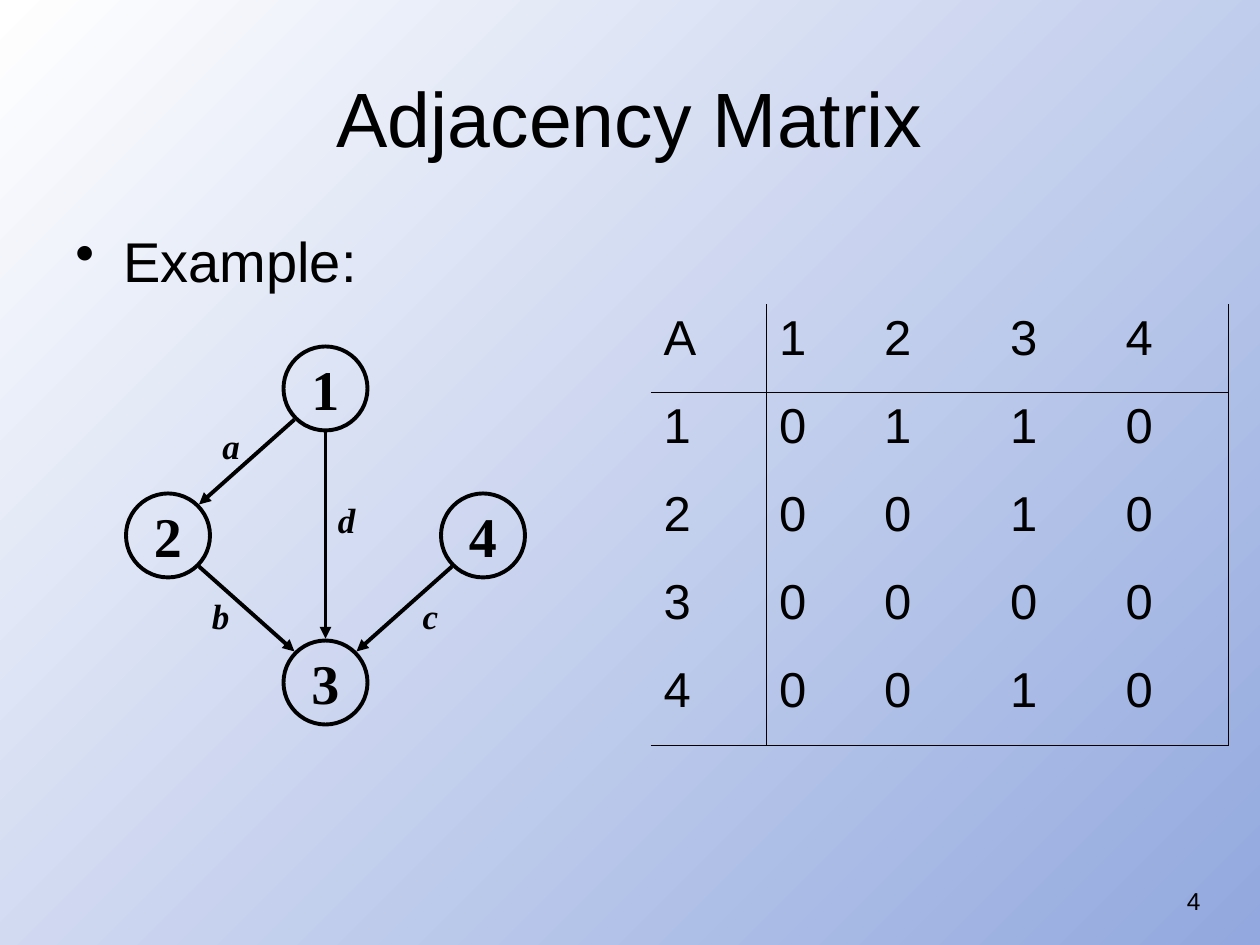
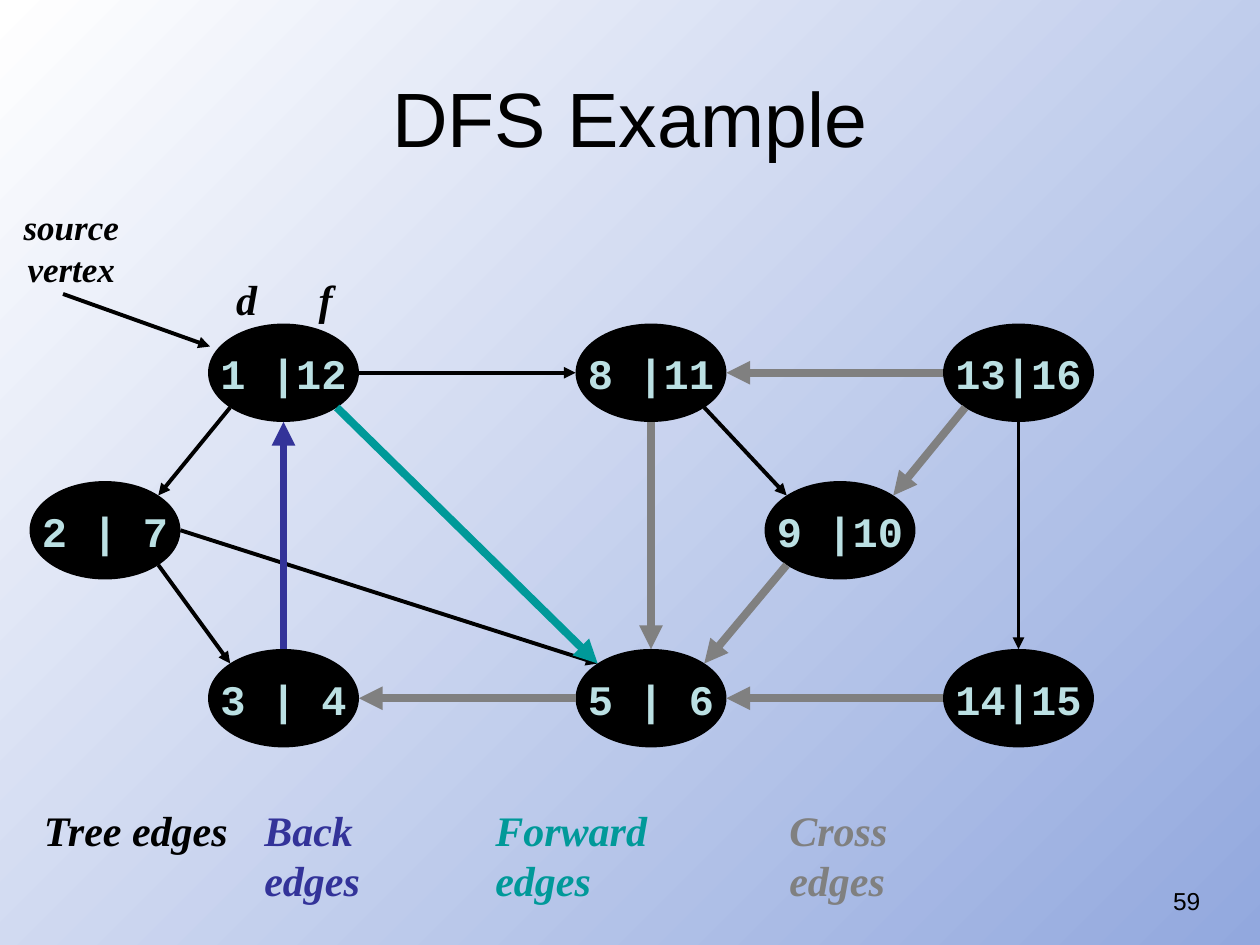
from math import sqrt

from lxml import etree
from pptx import Presentation
from pptx.dml.color import RGBColor
from pptx.enum.shapes import MSO_CONNECTOR as Line, MSO_SHAPE as Preset
from pptx.enum.text import MSO_ANCHOR as Anchor, PP_ALIGN as Align
from pptx.oxml.ns import qn
from pptx.util import Inches, Pt

COLORS = {
    "black": "000000", "white": "FFFFFF", "periwinkle": "92A8DE",
    "ice": "BBE0E3", "indigo": "333399", "teal": "009999", "gray": "808080",
}
SANS, SERIF, MONO = "Arial", "Times New Roman", "Courier New"

# Every length is in grid units: a slide is 120 columns by 90 rows
COLUMNS, ROWS = 120, 90
UNIT = Inches(10) // COLUMNS

# Directions of the points where edges meet a node
DIAGONAL = 1 / sqrt(2)
COMPASS = {
    "n": (0, -1), "s": (0, 1), "w": (-1, 0), "e": (1, 0),
    "nw": (-DIAGONAL, -DIAGONAL), "ne": (DIAGONAL, -DIAGONAL),
    "sw": (-DIAGONAL, DIAGONAL), "se": (DIAGONAL, DIAGONAL),
}
EDGE_GAP = 0.18

# Colour and width of each kind of edge
EDGE_STYLES = {
    "Tree": ("black", 2.25), "Back": ("indigo", 4.5),
    "Forward": ("teal", 4.5), "Cross": ("gray", 4.5),
}


def rgb(name):
    return RGBColor.from_string(COLORS[name])


def grid(*lengths):
    return [round(length * UNIT) for length in lengths]


def around(center, size):
    """Box of a size, centred on a point."""
    (x, y), (width, height) = center, size
    return x - width / 2, y - height / 2, width, height


def shifted(box, point):
    """Point given relative to a box's top left corner."""
    return box[0] + point[0], box[1] + point[1]


def write(frame, text, size, font=SANS, color="black", align=Align.LEFT,
          bold=False, italic=False):
    para = frame.paragraphs[0]
    para.text = text
    para.alignment = align
    para.font.size = Pt(size)
    para.font.name = font
    para.font.bold = bold
    para.font.italic = italic
    para.font.color.rgb = rgb(color)
    return para


def add_text(page, box, text, size, wrap=False, **style):
    frame = page.shapes.add_textbox(*grid(*box)).text_frame
    frame.word_wrap = wrap
    return write(frame, text, size, **style)


def add_label(page, center, text, size=20, box_size=(4, 5.3)):
    add_text(page, around(center, box_size), text, size, font=SERIF,
             align=Align.CENTER, bold=True, italic=True)


def add_arrow(page, start, end, color="black", width=2.25):
    arrow = page.shapes.add_connector(Line.STRAIGHT, *grid(*start, *end))
    arrow.line.color.rgb = rgb(color)
    arrow.line.width = Pt(width)
    etree.SubElement(arrow.line._get_or_add_ln(), qn("a:tailEnd"), type="triangle")
    etree.SubElement(arrow._element.spPr, qn("a:effectLst"))


def add_node(page, center, node_size, text, fill=None, **style):
    node = page.shapes.add_shape(Preset.OVAL, *grid(*around(center, node_size)))
    node.shadow.inherit = False
    if fill:
        node.fill.solid()
        node.fill.fore_color.rgb = rgb(fill)
    else:
        node.fill.background()
    node.line.color.rgb = rgb("black")
    node.line.width = Pt(2.25)
    node.text_frame.word_wrap = False
    node.text_frame.vertical_anchor = Anchor.MIDDLE
    write(node.text_frame, text, align=Align.CENTER, bold=True, **style)


def draw_graph(page, box, nodes, edges, node_size, **node_style):
    """Nodes map a text to a centre; edges are (from, side, to, side, kind)."""
    for text, center in nodes.items():
        add_node(page, shifted(box, center), node_size, text, **node_style)

    def site(text, side):
        x, y = shifted(box, nodes[text])
        across, down = COMPASS[side]
        return (x + across * (node_size[0] / 2 + EDGE_GAP),
                y + down * (node_size[1] / 2 + EDGE_GAP))

    for source, out_side, target, in_side, kind in edges:
        add_arrow(page, site(source, out_side), site(target, in_side),
                  *EDGE_STYLES[kind])


def new_page(deck, title, number):
    page = deck.slides.add_slide(deck.slide_layouts[5])
    heading = page.shapes.title
    heading.left, heading.top, heading.width, heading.height = grid(6, 3.6, 108, 15)
    heading.text_frame.vertical_anchor = Anchor.MIDDLE
    write(heading.text_frame, title, 44, align=Align.CENTER)
    add_text(page, (87.5, 83.75, 28, 6.25), number, 14, wrap=True, align=Align.RIGHT)
    return page


def add_bullet(page, box, text):
    para = add_text(page, box, text, 32, wrap=True)
    para.space_before = Pt(8)
    props = para._p.get_or_add_pPr()
    props.set("marL", str(Inches(0.38)))
    props.set("indent", str(-Inches(0.38)))
    bullet = etree.Element(qn("a:buChar"), char="•")
    props.find(qn("a:defRPr")).addprevious(bullet)


def add_border(cell, side, width):
    border = etree.SubElement(cell._tc.get_or_add_tcPr(), qn(f"a:ln{side}"))
    if width:
        border.set("w", str(Pt(width)))
        fill = etree.SubElement(border, qn("a:solidFill"))
        etree.SubElement(fill, qn("a:srgbClr"), val=COLORS["black"])
    else:
        etree.SubElement(border, qn("a:noFill"))


def add_matrix(page, box, column_widths, rows):
    count = len(rows)
    table = page.shapes.add_table(count, count, *grid(*box)).table
    table.first_row = table.horz_banding = False
    for column, width in zip(table.columns, column_widths):
        column.width = grid(width)[0]
    # Rules follow the header row and column, and close the far sides
    rules = {1: 0.45, count: 1.08}
    for r, values in enumerate(rows):
        table.rows[r].height = grid(box[3] / count)[0]
        for c, value in enumerate(values):
            cell = table.cell(r, c)
            write(cell.text_frame, value, 28).space_before = Pt(7)
            for side, position in (("L", c), ("R", c + 1), ("T", r), ("B", r + 1)):
                add_border(cell, side, rules.get(position))
            cell.fill.background()


def build_matrix_page(deck):
    page = new_page(deck, "Adjacency Matrix", "4")
    add_bullet(page, (6, 21, 114, 8), "Example:")

    # Directed graph with lettered edges
    box = (12, 33, 38, 36)
    nodes = {"1": (19, 4), "2": (4, 18), "4": (34, 18), "3": (19, 32)}
    edges = [
        ("1", "sw", "2", "ne", "Tree"), ("2", "se", "3", "nw", "Tree"),
        ("4", "sw", "3", "ne", "Tree"), ("1", "s", "3", "n", "Tree"),
    ]
    draw_graph(page, box, nodes, edges, (8, 8), size=32, font=SERIF)
    letters = {"a": (10, 9.5), "d": (21, 16.5), "b": (9, 25.7), "c": (29, 25.7)}
    for letter, center in letters.items():
        add_label(page, shifted(box, center), letter)

    # Its matrix
    add_matrix(page, (62, 29, 55, 42), (11, 10, 12, 11, 11),
               ["A1234", "10110", "20010", "30000", "40010"])


def add_edge_legend(page, left_top, columns):
    for (kind, (color, _)), (offset, width) in zip(EDGE_STYLES.items(), columns):
        add_text(page, (*shifted(left_top, (offset, 0)), width, 6), f"{kind} edges",
                 24, font=SERIF, color=color, bold=True, italic=True)


def build_dfs_page(deck):
    page = new_page(deck, "DFS Example", "59")

    # Vertices with discovery and finish times
    box = (0, 19, COLUMNS, 54)
    top, middle, bottom = 16.5, 31.5, 47.5
    nodes = {
        "1 |12": (27, top), "8 |11": (62, top), "13|16": (97, top),
        "14|15": (97, bottom), "5 | 6": (62, bottom), "3 | 4": (27, bottom),
        "2 | 7": (10, middle), "9 |10": (80, middle),
    }
    edges = [
        ("1 |12", "sw", "2 | 7", "ne", "Tree"),
        ("2 | 7", "se", "3 | 4", "nw", "Tree"),
        ("2 | 7", "e", "5 | 6", "nw", "Tree"),
        ("5 | 6", "w", "3 | 4", "e", "Cross"),
        ("3 | 4", "n", "1 |12", "s", "Back"),
        ("8 |11", "s", "5 | 6", "n", "Cross"),
        ("1 |12", "e", "8 |11", "w", "Tree"),
        ("13|16", "w", "8 |11", "e", "Cross"),
        ("8 |11", "se", "9 |10", "nw", "Tree"),
        ("13|16", "sw", "9 |10", "ne", "Cross"),
        ("13|16", "s", "14|15", "n", "Tree"),
        ("14|15", "w", "5 | 6", "e", "Cross"),
        ("9 |10", "sw", "5 | 6", "ne", "Cross"),
        ("1 |12", "se", "5 | 6", "nw", "Forward"),
    ]
    draw_graph(page, box, nodes, edges, (14, 9), fill="black",
               size=24, font=MONO, color="ice")

    # Source pointer, time headings and legend
    add_arrow(page, shifted(box, (6, 9)), shifted(box, (20, 14)))
    add_label(page, shifted(box, (6.8, 4.6)), "source\nvertex", box_size=(11.5, 9.2))
    for letter, x in (("d", 23.3), ("f", 31)):
        add_label(page, shifted(box, (x, 9.5)), letter, size=24, box_size=(4, 6))
    add_edge_legend(page, (3, 76), ((0, 20), (21, 20.9), (43, 26.9), (71, 21.8)))


def main():
    deck = Presentation()
    deck.slide_width, deck.slide_height = grid(COLUMNS, ROWS)

    # Shared diagonal gradient
    fill = deck.slide_master.background.fill
    fill.gradient()
    fill.gradient_angle = 315
    for stop, color, position in zip(fill.gradient_stops, ("white", "periwinkle"), (0, 1)):
        stop.color.rgb = rgb(color)
        stop.position = position

    build_matrix_page(deck)
    build_dfs_page(deck)
    deck.save("out.pptx")


if __name__ == "__main__":
    main()
